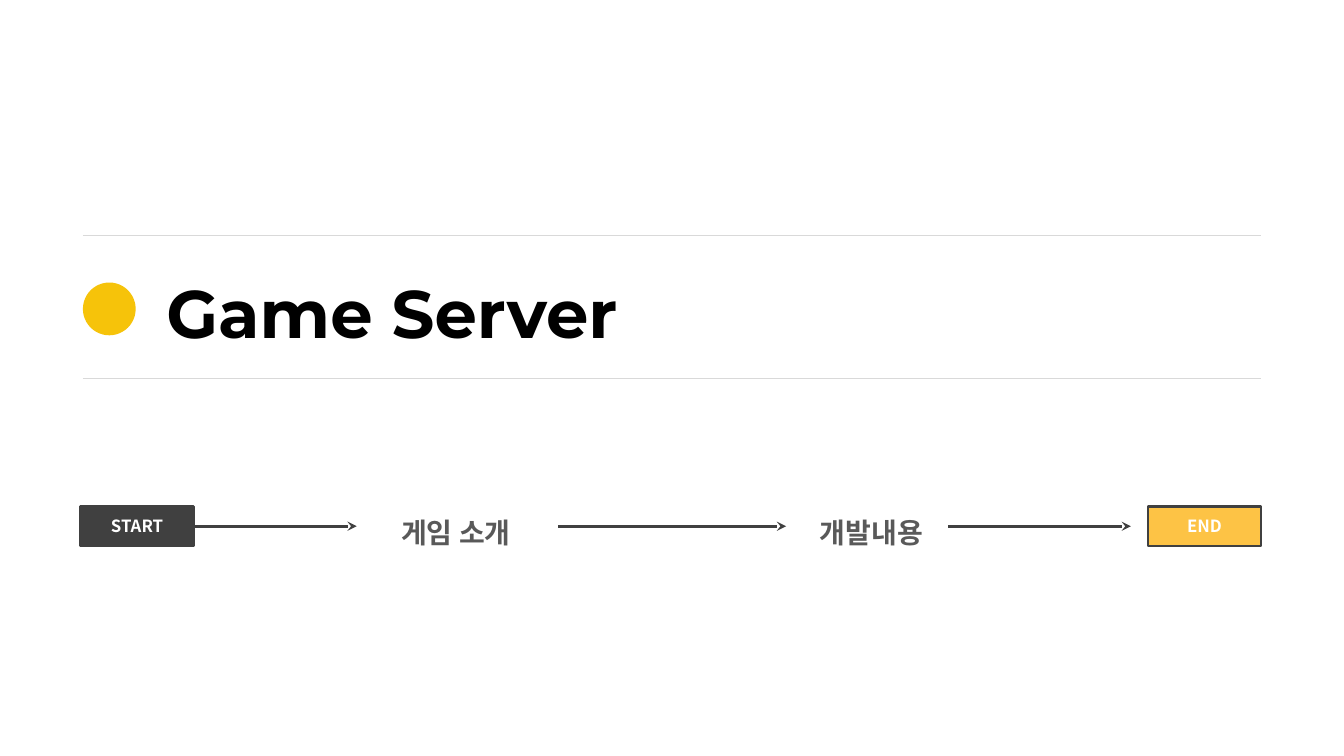
"""Build the Game Server section slide with its start-to-end flow."""
from lxml import etree
from pptx import Presentation
from pptx.dml.color import RGBColor
from pptx.enum import shapes, text
from pptx.oxml import ns
from pptx.util import Cm, Pt

COLORS = {"black": "000000", "white": "FFFFFF", "rule": "D9D9D9", "dot": "F6C30A",
          "label": "595959", "dark": "404040", "end": "FDC345"}
KOREAN = "Noto Sans CJK KR"


def write(sp, words, font, size, color, align):
    p = sp.text_frame.paragraphs[0]
    p.text = words
    p.alignment = align
    p.font.name = font
    p.font.size = Pt(size)
    p.font.bold = True
    p.font.color.rgb = RGBColor.from_string(COLORS[color])
    props = p._p.pPr.find(ns.qn("a:defRPr"))
    etree.SubElement(props, ns.qn("a:ea"), typeface=font)
    return p


def add_line(x1, x2, y, color, width):
    line = s.shapes.add_connector(shapes.MSO_CONNECTOR.STRAIGHT, Cm(x1), Cm(y), Cm(x2), Cm(y))
    line.line.color.rgb = RGBColor.from_string(COLORS[color])
    line.line.width = Pt(width)
    etree.SubElement(line._element.spPr, ns.qn("a:effectLst"))
    return line


prs = Presentation()
prs.slide_width, prs.slide_height = Cm(33.87), Cm(19.05)
s = prs.slides.add_slide(prs.slide_layouts[5])

title = s.shapes.title
title.left, title.top, title.width, title.height = Cm(3.94), Cm(6.71), Cm(12.62), Cm(2.31)
tf = title.text_frame
tf.word_wrap = False
tf.auto_size = text.MSO_AUTO_SIZE.SHAPE_TO_FIT_TEXT
tf.vertical_anchor = text.MSO_ANCHOR.TOP
write(title, "Game Server", "Montserrat", 48, "black", text.PP_ALIGN.LEFT)

for y in (5.94, 9.53):
    add_line(2.09, 31.78, y, "rule", 0.5)

dot = s.shapes.add_shape(shapes.MSO_SHAPE.OVAL, Cm(2.09), Cm(7.12), Cm(1.33), Cm(1.33))
dot.shadow.inherit = False
dot.fill.solid()
dot.fill.fore_color.rgb = RGBColor.from_string(COLORS["dot"])
dot.line.fill.background()

for words, x in (("게임 소개", 8.71), ("개발내용", 19.18)):
    label = s.shapes.add_textbox(Cm(x), Cm(12.45), Cm(5.56), Cm(1.37))
    label.text_frame.word_wrap = True
    label.text_frame.auto_size = text.MSO_AUTO_SIZE.SHAPE_TO_FIT_TEXT
    p = write(label, words, KOREAN, 20, "label", text.PP_ALIGN.CENTER)
    p.line_spacing = 1.5

boxes = {}
for words, x, fill in (("START", 2.03, "dark"), ("END", 28.93, "end")):
    box = s.shapes.add_shape(shapes.MSO_SHAPE.RECTANGLE, Cm(x), Cm(12.76), Cm(2.85), Cm(1))
    box.shadow.inherit = False
    box.fill.solid()
    box.fill.fore_color.rgb = RGBColor.from_string(COLORS[fill])
    box.line.color.rgb = RGBColor.from_string(COLORS["dark"])
    box.line.width = Pt(2)
    box.text_frame.vertical_anchor = text.MSO_ANCHOR.MIDDLE
    write(box, words, KOREAN, 12, "white", text.PP_ALIGN.CENTER)
    boxes[words] = box

arrows = []
for x1, x2 in ((4.88, 8.99), (14.07, 19.81), (23.9, 28.5)):
    arrow = add_line(x1, x2, 13.26, "dark", 2.25)
    etree.SubElement(arrow.line._get_or_add_ln(), ns.qn("a:tailEnd"), type="stealth")
    arrows.append(arrow)
arrows[0].begin_connect(boxes["START"], 3)

prs.save("out.pptx")
